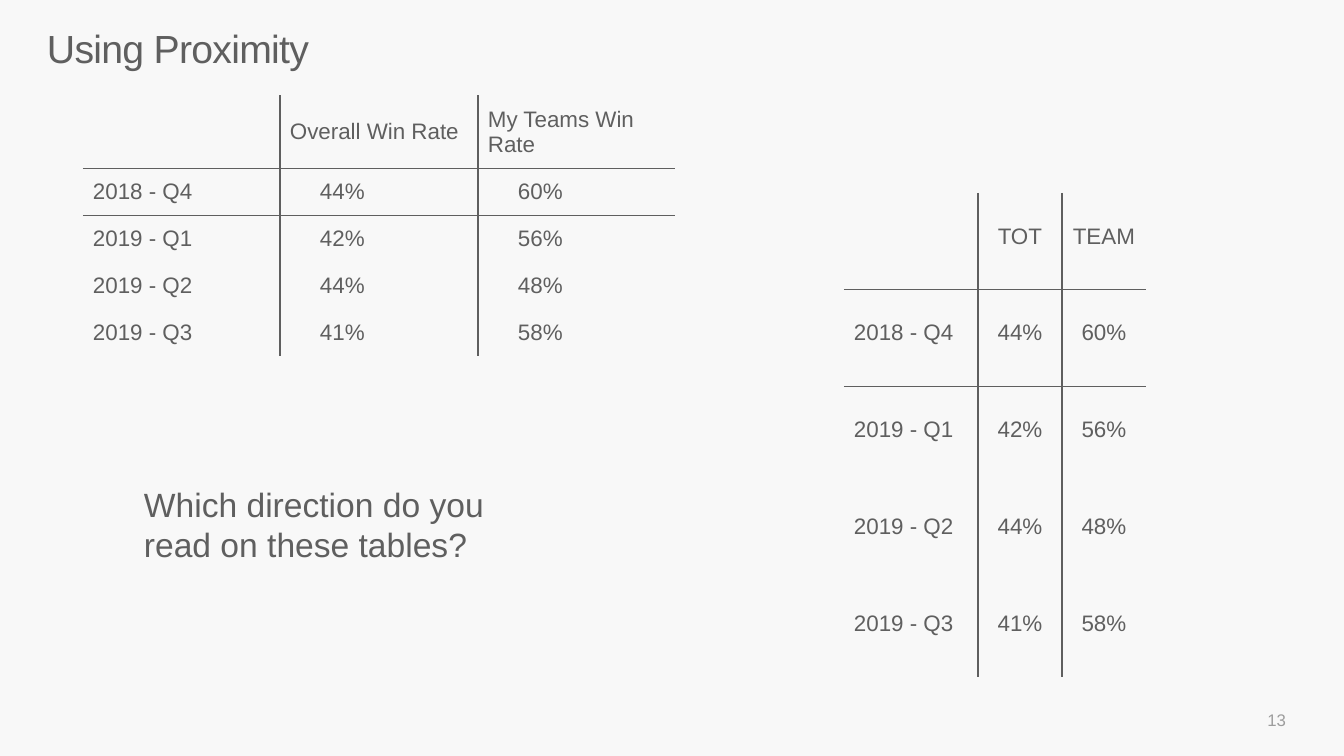
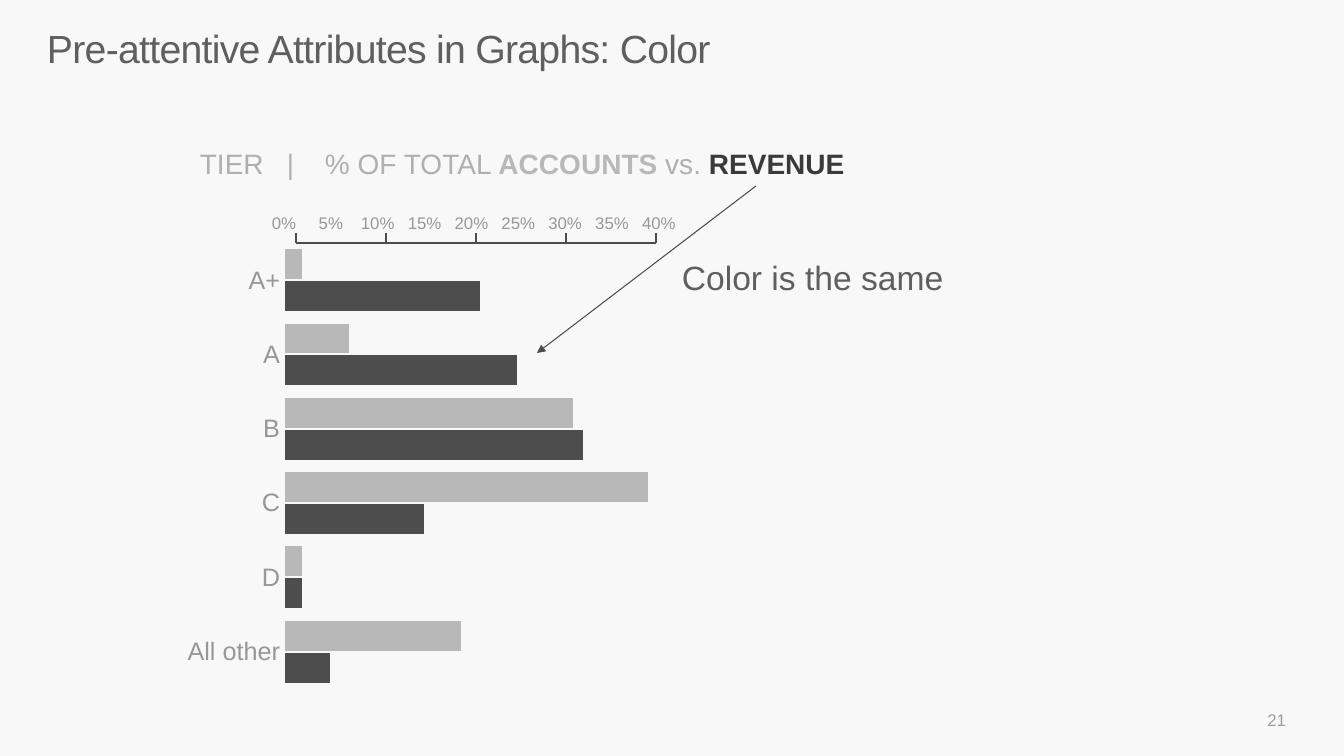
from lxml import etree
from pptx import Presentation
from pptx.chart import data as chart_data
from pptx.dml.color import RGBColor
from pptx.enum import chart as chart_enum, shapes, text
from pptx.oxml import ns
from pptx.util import Emu, Pt

PAPER = RGBColor(0xF8, 0xF8, 0xF8)
INK = RGBColor(0x5F, 0x5F, 0x5F)
FOOTER_GREY = RGBColor(0x9D, 0x9D, 0x9D)
AXIS_GREY = RGBColor(0x97, 0x97, 0x97)
HEADING_GREY = RGBColor(0xAF, 0xAF, 0xAF)
ACCOUNTS_GREY = RGBColor(0xB8, 0xB8, 0xB8)
REVENUE_GREY = RGBColor(0x4D, 0x4D, 0x4D)
REVENUE_TEXT = RGBColor(0x3A, 0x3A, 0x3A)
ARROW_GREY = RGBColor(0x4B, 0x4B, 0x4B)
FONT = "Arial"

QUARTERS = [
    ("2018 - Q4", "44%", "60%"),
    ("2019 - Q1", "42%", "56%"),
    ("2019 - Q2", "44%", "48%"),
    ("2019 - Q3", "41%", "58%"),
]
TIERS = ["A+", "A", "B", "C", "D", "All other"]
ACCOUNTS = [0.02, 0.07, 0.31, 0.39, 0.02, 0.19]
REVENUE = [0.21, 0.25, 0.32, 0.15, 0.02, 0.05]


def px(length):
    return Emu(round(length * 914400 / 100.8))


def place(*lengths):
    return [px(length) for length in lengths]


def add_xml(parent, tag, **attributes):
    return etree.SubElement(parent, ns.qn(tag), attributes)


def style_font(font, size, color, bold=False):
    font.name = FONT
    font.size = Pt(size)
    font.color.rgb = color
    font.bold = bold


def write(frame, spans, size=16, color=INK, align=text.PP_ALIGN.LEFT,
          anchor=text.MSO_ANCHOR.TOP, insets=None, leading=None, tracking=None, tabs=()):
    frame.word_wrap = True
    frame.vertical_anchor = anchor
    if insets is not None:
        (frame.margin_left, frame.margin_top,
         frame.margin_right, frame.margin_bottom) = place(*insets)
    para = frame.paragraphs[0]
    para.alignment = align
    if leading:
        para.line_spacing = leading
    if tabs:
        stops = add_xml(para._p.get_or_add_pPr(), "a:tabLst")
        for stop in tabs:
            add_xml(stops, "a:tab", pos=str(px(stop)), algn="l")
    for words, look in [(spans, {})] if isinstance(spans, str) else spans:
        span = para.add_run()
        span.text = words
        style_font(span.font, size, look.get("color", color), look.get("bold", False))
        if tracking:
            span._r.get_or_add_rPr().set("spc", str(tracking))


def add_text(page, box, spans, **look):
    write(page.shapes.add_textbox(*place(*box)).text_frame, spans, **look)


def add_line(page, start, end, color=REVENUE_GREY, width=1, arrow=False):
    line = page.shapes.add_connector(shapes.MSO_CONNECTOR.STRAIGHT, *place(*start, *end))
    line.line.color.rgb = color
    line.line.width = Pt(width)
    if arrow:
        add_xml(line.line._get_or_add_ln(), "a:tailEnd", type="triangle")
    add_xml(line._element.spPr, "a:effectLst")


def add_page(deck, title, number):
    page = deck.slides.add_slide(deck.slide_layouts.get_by_name("Title Only"))
    heading = page.shapes.title
    heading.left, heading.top, heading.width, heading.height = place(47, 31, 1249, 90)
    write(heading.text_frame, title, size=28, insets=(0, 0, 0, 0), leading=0.86, tracking=-50)
    add_text(page, (994, 700, 302, 40), str(number), size=12, color=FOOTER_GREY,
             align=text.PP_ALIGN.RIGHT, anchor=text.MSO_ANCHOR.MIDDLE)
    return page


def set_borders(cell, **ruled):
    properties = cell._tc.get_or_add_tcPr()
    for position, side in enumerate("LRTB"):
        border = etree.Element(ns.qn(f"a:ln{side}"), w=str(Pt(1)))
        if ruled[side]:
            add_xml(add_xml(border, "a:solidFill"), "a:srgbClr", val=str(INK))
        else:
            add_xml(border, "a:noFill")
        properties.insert(position, border)


def add_rate_table(page, corner, widths, heights, headers, insets, align):
    rows = [("", *headers), *QUARTERS]
    size = sum(widths), sum(heights)
    table = page.shapes.add_table(len(rows), len(widths), *place(*corner, *size)).table
    table.first_row = table.horz_banding = False
    for column, width in zip(table.columns, widths):
        column.width = px(width)
    for row, height in zip(table.rows, heights):
        row.height = px(height)
    for i, words in enumerate(rows):
        for j, word in enumerate(words):
            cell = table.cell(i, j)
            cell.fill.background()
            cell.vertical_anchor = text.MSO_ANCHOR.MIDDLE
            kind = "label" if j == 0 else "header" if i == 0 else "value"
            (cell.margin_left, cell.margin_top,
             cell.margin_right, cell.margin_bottom) = place(*(insets[kind] if word else (0,) * 4))
            if word:
                para = cell.text_frame.paragraphs[0]
                para.alignment = align if j else text.PP_ALIGN.LEFT
                span = para.add_run()
                span.text = word
                style_font(span.font, 16, INK)
            set_borders(cell, L=j > 0, R=j < 2, T=i in (1, 2), B=i in (0, 1))


def proximity_page(deck):
    page = add_page(deck, "Using Proximity", 13)
    even = (10, 10, 10, 10)
    add_rate_table(page, (83, 95), [197, 198, 197], [70] + [45] * 4,
                   ("Overall Win Rate", "My Teams Win Rate"),
                   {"label": even, "header": even, "value": (40, 10, 10, 10)},
                   text.PP_ALIGN.LEFT)
    tall = (10, 30, 10, 40)
    add_rate_table(page, (844, 193), [134, 84, 84], [95] * 5, ("TOT", "TEAM"),
                   {"label": (10, 30, 0, 40), "header": tall, "value": tall},
                   text.PP_ALIGN.CENTER)
    add_text(page, (134, 479, 411, 92), "Which direction do you read on these tables?", size=24)


def set_plot_area(chart, box, plot):
    area = chart._chartSpace.chart.plotArea
    for old in area.findall(ns.qn("c:layout")):
        area.remove(old)
    layout = etree.Element(ns.qn("c:layout"))
    area.insert(0, layout)
    manual = add_xml(layout, "c:manualLayout")
    left, top, width, height = box
    x, y, w, h = plot
    add_xml(manual, "c:layoutTarget", val="inner")
    add_xml(manual, "c:xMode", val="edge")
    add_xml(manual, "c:yMode", val="edge")
    shares = {"x": (x - left) / width, "y": (y - top) / height, "w": w / width, "h": h / height}
    for name, share in shares.items():
        add_xml(manual, f"c:{name}", val=f"{share:.4f}")


def add_tier_chart(page, box, plot_box):
    tiers = chart_data.CategoryChartData(number_format="0%")
    tiers.categories = TIERS
    tiers.add_series("Series 1", ACCOUNTS)
    tiers.add_series("Series 2", REVENUE)
    chart = page.shapes.add_chart(chart_enum.XL_CHART_TYPE.BAR_CLUSTERED,
                                  *place(*box), tiers).chart
    chart.has_legend = chart.has_title = False
    style_font(chart.font, 10, INK)
    set_plot_area(chart, box, plot_box)
    plot = chart.plots[0]
    plot.gap_width = 33
    plot.overlap = 0
    plot.vary_by_categories = False
    for series, color in zip(plot.series, (ACCOUNTS_GREY, REVENUE_GREY)):
        series.format.fill.solid()
        series.format.fill.fore_color.rgb = color
        series.format.line.color.rgb = PAPER
        series.format.line.width = Pt(1.5)
    marks = chart_enum.XL_TICK_MARK
    for axis, size, mark in ((chart.category_axis, 18, marks.NONE),
                             (chart.value_axis, 12, marks.OUTSIDE)):
        axis.has_major_gridlines = False
        axis.major_tick_mark = mark
        axis.minor_tick_mark = marks.NONE
        axis.format.line.fill.background()
        style_font(axis.tick_labels.font, size, AXIS_GREY)
    chart.category_axis.reverse_order = True
    scale = chart.value_axis
    scale.minimum_scale, scale.maximum_scale, scale.major_unit = 0, 0.4, 0.05
    scale.tick_labels.number_format = "0%"
    scale.tick_labels.number_format_is_linked = False


def add_scale_bracket(page, left, top, step, count, drop):
    base = top + drop
    add_line(page, (left, base), (left + step * count, base))
    for i in range(count + 1):
        add_line(page, (left + step * i, top), (left + step * i, base))


def color_page(deck):
    page = add_page(deck, "Pre-attentive Attributes in Graphs: Color", 21)
    add_tier_chart(page, (169, 205, 517, 494), (284, 243, 375, 446))
    add_text(page, (190, 142, 896, 44), [
        ("TIER\t|\t% OF TOTAL ", {}),
        ("ACCOUNTS ", {"color": ACCOUNTS_GREY, "bold": True}),
        ("vs. ", {}),
        ("REVENUE", {"color": REVENUE_TEXT, "bold": True}),
    ], size=20, color=HEADING_GREY, tabs=(87, 125))
    add_scale_bracket(page, 296, 233, 90, 4, 10)
    add_text(page, (672, 252, 302, 50), "Color is the same", size=24)
    add_line(page, (756, 186), (537, 353), color=ARROW_GREY, width=0.75, arrow=True)


def main():
    deck = Presentation()
    deck.slide_width, deck.slide_height = place(1344, 756)
    backdrop = deck.slide_master.background.fill
    backdrop.solid()
    backdrop.fore_color.rgb = PAPER
    proximity_page(deck)
    color_page(deck)
    deck.save("out.pptx")


if __name__ == "__main__":
    main()
